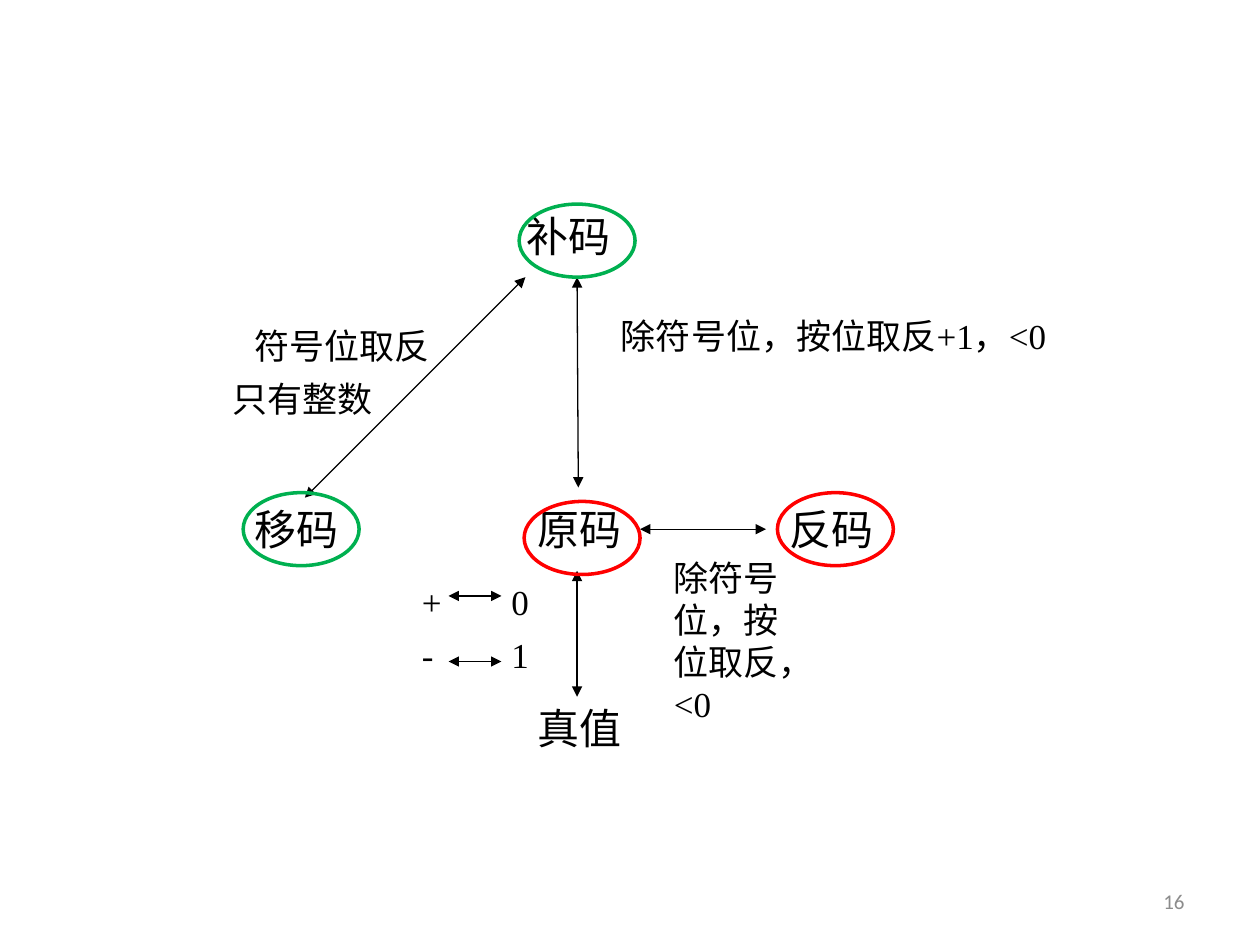
"""Build the slide on conversions between number codes."""
from lxml import etree
from pptx import Presentation
from pptx.dml.color import RGBColor
from pptx.enum import shapes, text
from pptx.oxml.ns import qn
from pptx.util import Inches, Pt

THEME = {
    "black": RGBColor(0x00, 0x00, 0x00),
    "gray": RGBColor(0x8C, 0x8C, 0x8C),
    "red": RGBColor(0xFF, 0x00, 0x00),
    "green": RGBColor(0x00, 0xB0, 0x50),
    "code": {"size": Pt(24), "name": "Times New Roman"},
    "rule": {"size": Pt(20), "name": "Times New Roman"},
    "number": {"size": Pt(12), "name": "Calibri"},
    "arrow": Pt(0.75),
    "ring": Pt(2),
}
CODE_SIZE = (1, 0.5)
RING_SIZE = (0.92, 0.58)
SIGN_TAB = 0.71

CODES = [
    ("原码", 4.17, 3.95),
    ("移码", 1.92, 3.95),
    ("反码", 6.17, 3.95),
    ("补码", 4.08, 1.62),
    ("真值", 4.17, 5.53),
]
RULES = [
    ("符号位取反", (1.92, 2.53, 2, 0.44)),
    ("除符号位，按位取反+1，<0", (4.83, 2.45, 3.75, 0.77)),
    ("除符号位，按位取反，<0", (5.25, 4.37, 1.17, 1.44)),
    ("只有整数", (1.75, 2.95, 1.33, 0.44)),
]
SIGNS = [
    ("+\t0", {"line_spacing": 0.5}),
    ("-\t1", {"line_spacing": 0.8, "space_before": Pt(12.5)}),
]
SIGNS_BOX = (3.25, 4.7, 1.17, 0.72)
ARROWS = [
    (4.58, 2.2, 4.59, 3.87),
    (2.42, 3.95, 4.17, 2.2),
    (5.08, 4.2, 6.08, 4.2),
    (4.58, 4.53, 4.58, 5.53),
    (3.56, 4.73, 3.98, 4.73),
    (3.56, 5.25, 3.98, 5.25),
]
RINGS = [
    ("red", 6.17, 3.91),
    ("red", 4.16, 3.98),
    ("green", 1.93, 3.91),
    ("green", 4.12, 1.62),
]


def apply(target, values):
    """Set each named attribute on the target."""
    for name, value in values.items():
        setattr(target, name, value)


def add_text(s, box, lines, style, color="black", tab=None, frame=None, para=None):
    """Add a wrapped text box with one paragraph per line."""
    tf = s.shapes.add_textbox(*map(Inches, box)).text_frame
    apply(tf, {"word_wrap": True, **(frame or {"auto_size": text.MSO_AUTO_SIZE.SHAPE_TO_FIT_TEXT})})
    for i, (words, spacing) in enumerate(lines):
        p = tf.add_paragraph() if i else tf.paragraphs[0]
        apply(p, {**(para or {}), **spacing})
        if tab:
            tabs = etree.SubElement(p._p.get_or_add_pPr(), qn("a:tabLst"))
            etree.SubElement(tabs, qn("a:tab"), pos=str(Inches(tab)), algn="l")
        r = p.add_run()
        r.text = words
        apply(r.font, THEME[style])
        r.font.color.rgb = THEME[color]


def add_arrow(s, ends):
    """Add a thin line with an arrowhead at both ends."""
    line = s.shapes.add_connector(shapes.MSO_CONNECTOR.STRAIGHT, *map(Inches, ends))
    line.line.width = THEME["arrow"]
    line.line.color.rgb = THEME["black"]
    ln = line.line._get_or_add_ln()
    for end in ("a:headEnd", "a:tailEnd"):
        etree.SubElement(ln, qn(end), type="triangle")
    etree.SubElement(line._element.spPr, qn("a:effectLst"))


def add_ring(s, color, left, top):
    """Add an unfilled ellipse around a code."""
    sp = s.shapes.add_shape(shapes.MSO_SHAPE.OVAL, *map(Inches, (left, top, *RING_SIZE)))
    sp.shadow.inherit = False
    sp.fill.background()
    sp.line.width = THEME["ring"]
    sp.line.color.rgb = THEME[color]


def main():
    """Lay out the codes, rules, arrows and rings."""
    prs = Presentation()
    apply(prs, {"slide_width": Inches(10), "slide_height": Inches(7.5)})
    s = prs.slides.add_slide(prs.slide_layouts[6])
    add_text(s, (7.17, 6.95, 2.33, 0.4), [("16", {})], "number", "gray",
             frame={"vertical_anchor": text.MSO_ANCHOR.MIDDLE},
             para={"alignment": text.PP_ALIGN.RIGHT})
    for name, left, top in CODES:
        add_text(s, (left, top, *CODE_SIZE), [(name, {})], "code")
    for words, box in RULES:
        add_text(s, box, [(words, {})], "rule")
    add_text(s, SIGNS_BOX, SIGNS, "rule", tab=SIGN_TAB)
    for ends in ARROWS:
        add_arrow(s, ends)
    for ring in RINGS:
        add_ring(s, *ring)
    prs.save("out.pptx")


if __name__ == "__main__":
    main()
